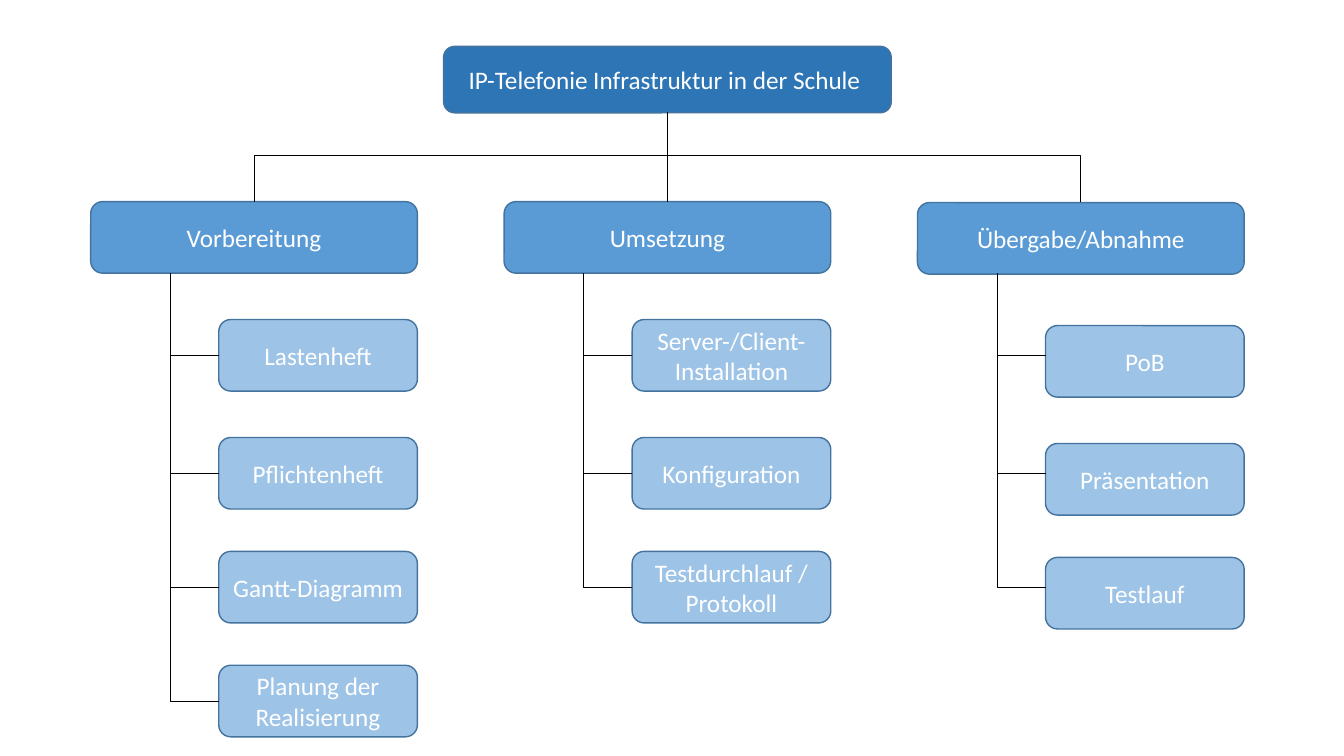
from pptx import Presentation
from pptx.dml.color import RGBColor
from pptx.enum.shapes import MSO_CONNECTOR, MSO_SHAPE
from pptx.enum.text import MSO_ANCHOR, PP_ALIGN
from pptx.oxml.ns import qn
from pptx.util import Inches, Pt

PROJECT = "IP-Telefonie Infrastruktur in der Schule "
PHASES = [
    ("Vorbereitung", 0, 0,
     ["Lastenheft", "Pflichtenheft", "Gantt-Diagramm", "Planung der Realisierung"]),
    ("Umsetzung", 0, 0,
     ["Server-/Client-Installation", "Konfiguration", "Testdurchlauf / Protokoll"]),
    ("Übergabe/Abnahme", 0.01, 0.06,
     ["PoB", "Präsentation", "Testlauf"]),
]
PROJECT_FILL, PHASE_FILL, TASK_FILL = "2E75B6", "5B9BD5", "9DC3E6"
BORDER, TEXT, LINK = "43739E", "FFFFFF", "000000"

PHASE_LEFT, PHASE_STEP, PHASE_TOP = 0.9, 4.1, 2
PHASE_WIDTH, TASK_WIDTH, BOX_HEIGHT = 3.24, 1.97, 0.71
TASK_TOPS = [3.17, 4.34, 5.47, 6.6]
TRUNK_INDENT = 0.79
PROJECT_CENTER, PROJECT_BOTTOM, BRANCH_Y = 6.62, 1.11, 1.54

presentation = Presentation()
presentation.slide_width = Inches(13.33)
presentation.slide_height = Inches(7.5)
slide = presentation.slides.add_slide(presentation.slide_layouts[6])


def color(value):
    return RGBColor.from_string(value)


def add_box(label, left, top, width, height, fill):
    box = slide.shapes.add_shape(MSO_SHAPE.ROUNDED_RECTANGLE, Inches(left),
                                 Inches(top), Inches(width), Inches(height))
    box.shadow.inherit = False
    box.fill.solid()
    box.fill.fore_color.rgb = color(fill)
    box.line.color.rgb = color(BORDER)
    box.line.width = Pt(1)
    frame = box.text_frame
    frame.text = label
    frame.word_wrap = True
    frame.vertical_anchor = MSO_ANCHOR.MIDDLE
    paragraph = frame.paragraphs[0]
    paragraph.alignment = PP_ALIGN.CENTER
    font = paragraph.runs[0].font
    font.name = "Calibri"
    font.size = Pt(18)
    font.color.rgb = color(TEXT)


def add_link(start, end):
    straight = start[0] == end[0]
    kind = MSO_CONNECTOR.STRAIGHT if straight else MSO_CONNECTOR.ELBOW
    link = slide.shapes.add_connector(kind, *map(Inches, start + end))
    link.line.color.rgb = color(LINK)
    link.line.width = Pt(0.5)
    properties = link._element.spPr
    properties.append(properties.makeelement(qn("a:effectLst"), {}))
    if not straight:
        properties.find(qn("a:prstGeom")).set("prst", "bentConnector2")


add_box(PROJECT, 4.4, 0.46, 4.44, 0.66, PROJECT_FILL)

for column, (phase, phase_shift, task_shift, tasks) in enumerate(PHASES):
    left = PHASE_LEFT + column * PHASE_STEP
    center = round(left + PHASE_WIDTH / 2, 2)
    trunk = left + TRUNK_INDENT
    task_left = left + PHASE_WIDTH - TASK_WIDTH

    add_box(phase, left, PHASE_TOP + phase_shift, PHASE_WIDTH, BOX_HEIGHT, PHASE_FILL)
    branch_start = PROJECT_BOTTOM if center == PROJECT_CENTER else BRANCH_Y
    add_link((PROJECT_CENTER, branch_start), (center, PHASE_TOP))

    trunk_top = PHASE_TOP + BOX_HEIGHT
    for task, top in zip(tasks, TASK_TOPS):
        add_box(task, task_left, top + task_shift, TASK_WIDTH, BOX_HEIGHT, TASK_FILL)
        middle = top + BOX_HEIGHT / 2
        add_link((task_left, middle), (trunk, trunk_top))
        trunk_top = middle

presentation.save("out.pptx")
